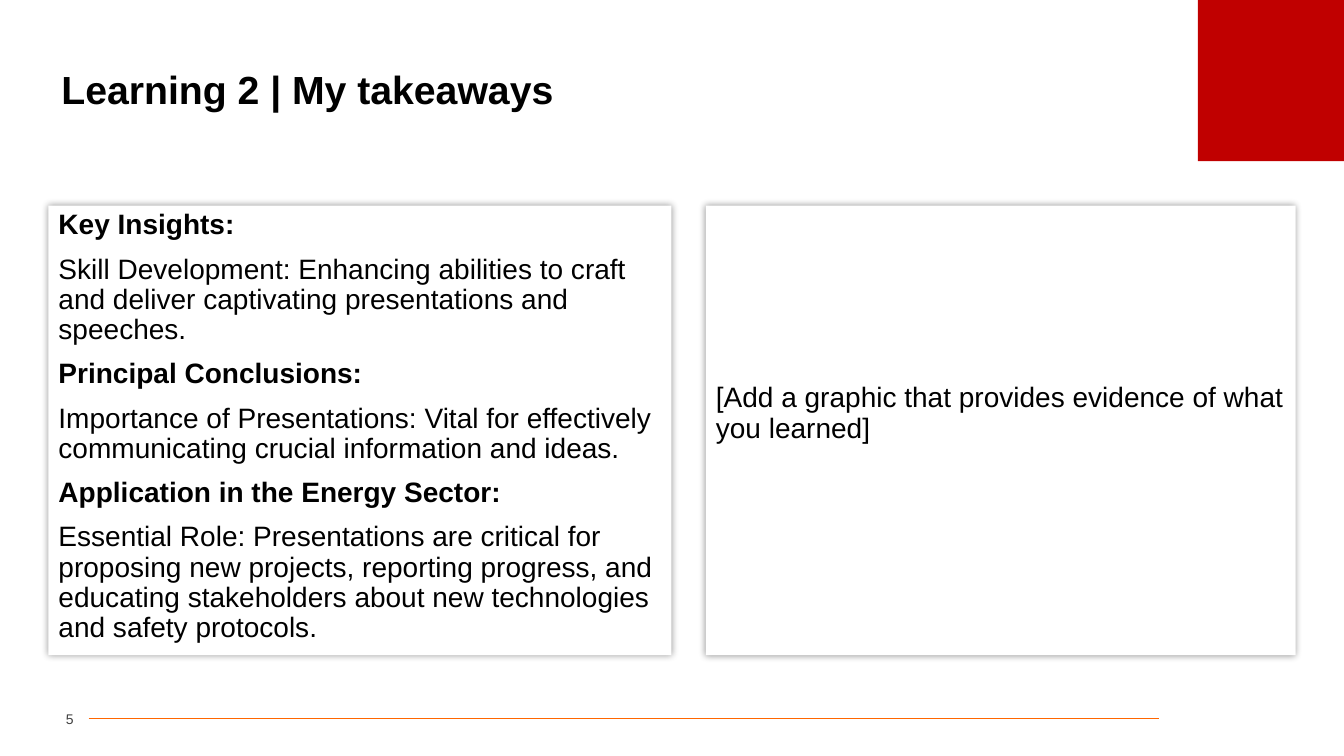
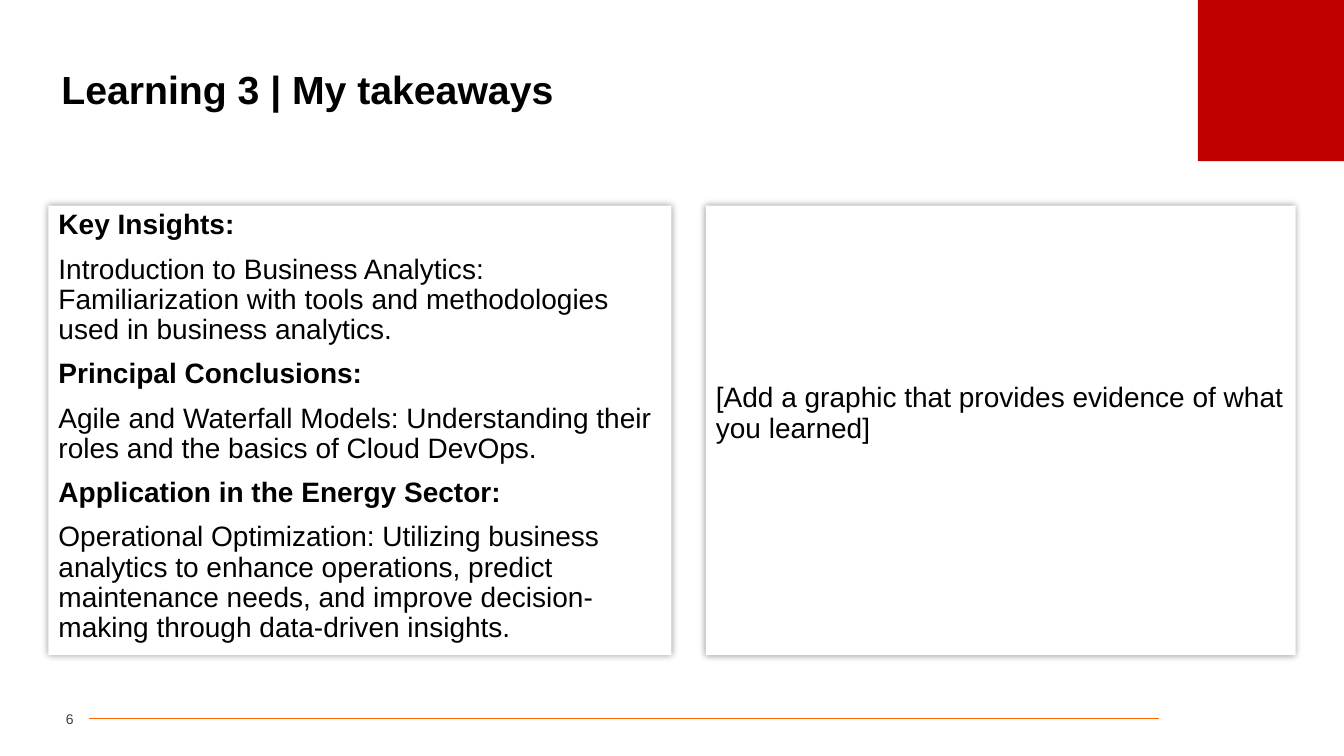
from dataclasses import dataclass

from lxml.etree import SubElement
from pptx import Presentation
from pptx.dml.color import RGBColor
from pptx.enum.shapes import MSO_CONNECTOR, MSO_SHAPE
from pptx.enum.text import MSO_ANCHOR, MSO_AUTO_SIZE, PP_ALIGN
from pptx.oxml.ns import qn
from pptx.util import Inches, Pt

FIRST_NUMBER = 5
HEADINGS = ["Key Insights:", "Principal Conclusions:", "Application in the Energy Sector:"]
EVIDENCE = "[Add a graphic that provides evidence of what you learned]"
LEARNINGS = [
    ("Learning 2 | My takeaways", [
        "Skill Development: Enhancing abilities to craft and deliver captivating presentations and speeches.",
        "Importance of Presentations: Vital for effectively communicating crucial information and ideas.",
        "Essential Role: Presentations are critical for proposing new projects, reporting progress, "
        "and educating stakeholders about new technologies and safety protocols.",
    ]),
    ("Learning 3 | My takeaways", [
        "Introduction to Business Analytics: Familiarization with tools and methodologies used in "
        "business analytics.",
        "Agile and Waterfall Models: Understanding their roles and the basics of Cloud DevOps.",
        "Operational Optimization: Utilizing business analytics to enhance operations, predict "
        "maintenance needs, and improve decision-making through data-driven insights.",
    ]),
]


@dataclass(frozen=True)
class Theme:
    font: str = "Arial"
    ink: str = "000000"
    paper: str = "FFFFFF"
    corner: str = "C00000"
    rule: str = "FF6600"
    number: str = "404040"
    title_size: int = 28
    body_size: int = 20
    number_size: int = 10
    line_spacing: float = 0.9
    paragraph_gap: int = 10
    shadow_blur: int = 5
    shadow_alpha: int = 40


THEME = Theme()
TITLE_BOX = (0.51, 0.52, 12.31, 0.78)
CORNER_BOX = (11.88, 0, 1.46, 1.6)
NUMBER_BOX = (0.33, 6.99, 0.4, 0.29)
TAKEAWAYS_BOX = (0.48, 2.04, 6.18, 4.46)
EVIDENCE_BOX = (7, 2.04, 5.85, 4.46)
RULE_ENDS = (0.88, 7.13, 11.5, 7.13)


def color(code):
    return RGBColor.from_string(code)


def place(part, box):
    part.left, part.top, part.width, part.height = map(Inches, box)


def style(font, size, code, bold=False):
    font.name, font.size, font.bold = THEME.font, Pt(size), bold
    font.color.rgb = color(code)


def add_title(slide, text):
    title = slide.shapes.title
    place(title, TITLE_BOX)
    frame = title.text_frame
    frame.text = text
    frame.vertical_anchor = MSO_ANCHOR.MIDDLE
    frame.auto_size = MSO_AUTO_SIZE.NONE
    paragraph = frame.paragraphs[0]
    paragraph.alignment = PP_ALIGN.LEFT
    paragraph.line_spacing = THEME.line_spacing
    style(paragraph.runs[0].font, THEME.title_size, THEME.ink, True)


def add_soft_shadow(panel):
    effects = SubElement(panel.element.spPr, qn("a:effectLst"))
    shadow = SubElement(effects, qn("a:outerShdw"), blurRad=str(Pt(THEME.shadow_blur)),
                        dist="0", dir="0", algn="ctr", rotWithShape="0")
    tint = SubElement(shadow, qn("a:srgbClr"), val=THEME.ink)
    SubElement(tint, qn("a:alpha"), val=str(THEME.shadow_alpha * 1000))


def fill_panel(panel, box, lines, anchor, bottom_inset=0.05):
    place(panel, box)
    panel.fill.solid()
    panel.fill.fore_color.rgb = color(THEME.paper)
    panel.line.fill.background()
    add_soft_shadow(panel)
    frame = panel.text_frame
    frame.text = "\n".join(lines)
    frame.word_wrap = True
    frame.auto_size = MSO_AUTO_SIZE.NONE
    frame.vertical_anchor = anchor
    frame.margin_bottom = Inches(bottom_inset)
    for paragraph in frame.paragraphs:
        paragraph.line_spacing = THEME.line_spacing
        paragraph.space_before = Pt(THEME.paragraph_gap)
        properties = paragraph._p.get_or_add_pPr()
        properties.set("marL", "0")
        properties.set("indent", "0")
        SubElement(properties, qn("a:buNone"))
        style(paragraph.runs[0].font, THEME.body_size, THEME.ink, paragraph.text in HEADINGS)


def add_corner(slide):
    corner = slide.shapes.add_shape(MSO_SHAPE.RECTANGLE, *map(Inches, CORNER_BOX))
    corner.shadow.inherit = False
    corner.fill.solid()
    corner.fill.fore_color.rgb = color(THEME.corner)
    corner.line.fill.background()


def add_footer(slide, number):
    rule = slide.shapes.add_connector(MSO_CONNECTOR.STRAIGHT, *map(Inches, RULE_ENDS))
    rule.line.color.rgb = color(THEME.rule)
    rule.line.width = Pt(0.5)
    SubElement(rule.element.spPr, qn("a:effectLst"))

    frame = slide.shapes.add_textbox(*map(Inches, NUMBER_BOX)).text_frame
    frame.text = str(number)
    frame.word_wrap = True
    frame.margin_left = frame.margin_right = 0
    frame.vertical_anchor = MSO_ANCHOR.MIDDLE
    paragraph = frame.paragraphs[0]
    paragraph.alignment = PP_ALIGN.RIGHT
    style(paragraph.runs[0].font, THEME.number_size, THEME.number)


def add_learning(deck, number, title, takeaways):
    slide = deck.slides.add_slide(deck.slide_layouts[3])
    insights, evidence = list(slide.placeholders)[1:]
    add_corner(slide)
    add_footer(slide, number)
    add_title(slide, title)
    lines = [line for pair in zip(HEADINGS, takeaways) for line in pair]
    fill_panel(insights, TAKEAWAYS_BOX, lines, MSO_ANCHOR.TOP)
    fill_panel(evidence, EVIDENCE_BOX, [EVIDENCE], MSO_ANCHOR.MIDDLE, bottom_inset=0.38)


def main():
    deck = Presentation()
    deck.slide_width, deck.slide_height = Inches(13.33), Inches(7.5)
    for number, (title, takeaways) in enumerate(LEARNINGS, FIRST_NUMBER):
        add_learning(deck, number, title, takeaways)
    deck.save("out.pptx")


if __name__ == "__main__":
    main()
